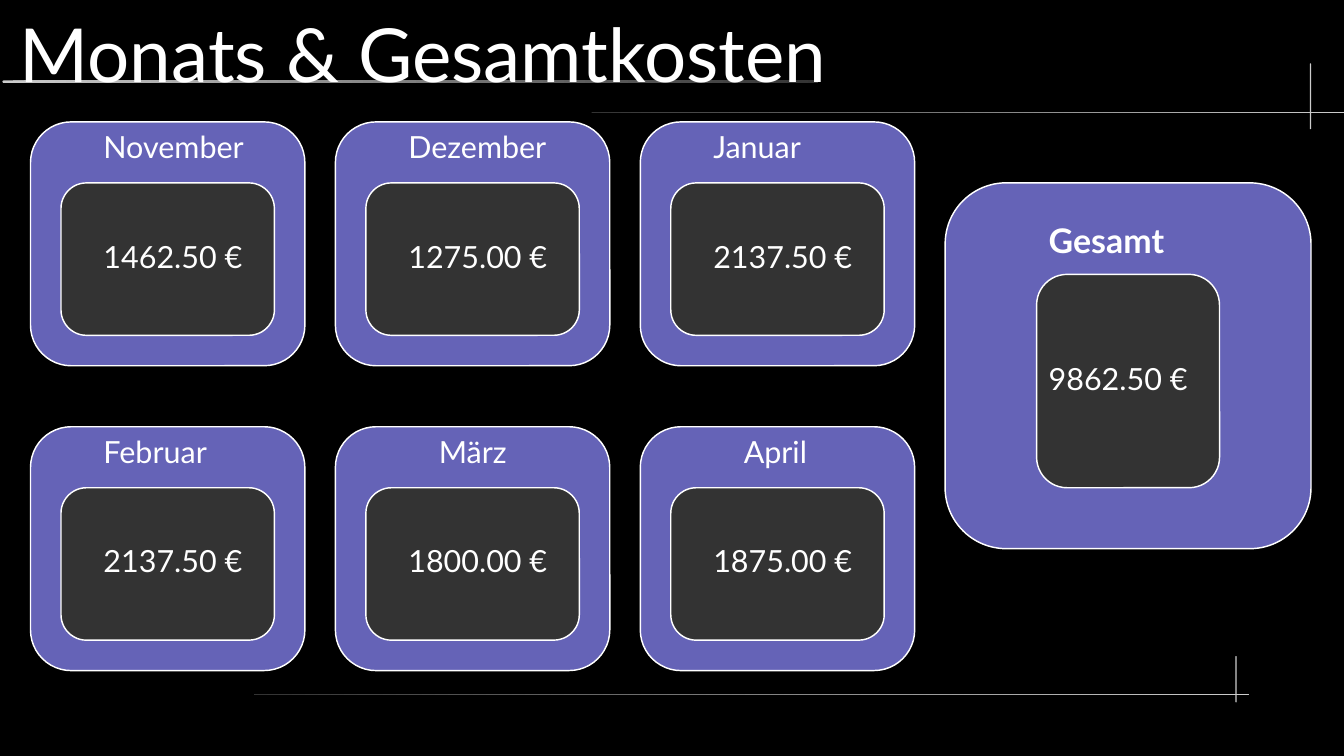
from pptx import Presentation
from pptx.dml.color import RGBColor
from pptx.enum.shapes import MSO_SHAPE as Shape
from pptx.enum.text import MSO_ANCHOR as Anchor, MSO_AUTO_SIZE as AutoSize, PP_ALIGN as Align
from pptx.util import Inches, Pt

HEADING = "Monats & Gesamtkosten"
MONTHS = [
    [("November", "1462.50 €"), ("Dezember", "1275.00 €"), ("Januar", "2137.50 €")],
    [("Februar", "2137.50 €"), ("März", "1800.00 €"), ("April", "1875.00 €")],
]
TOTAL = ("Gesamt", "9862.50 €")
INDENTED = ("März", "April")

FONT, WHITE, BLACK = "Lato", "FFFFFF", "000000"
VIOLET, GREY, LIGHT = "6563B7", "333333", "CCCCCC"
RULES = [
    (0.02, 0.66, 6.69, 0.02, LIGHT, GREY),
    (4.85, 0.92, 6.21, 0.01, GREY, LIGHT),
    (10.74, 0.52, 0.01, 0.54, LIGHT, LIGHT),
    (2.08, 5.69, 8.16, 0.01, GREY, LIGHT),
    (10.13, 5.38, 0.01, 0.38, LIGHT, LIGHT),
]
UNIT = 0.25
COLUMN_STEP, ROW_STEP = 10 * UNIT, 10 * UNIT
AMOUNT_DROP = 0.9


def color(value):
    return RGBColor.from_string(value)


def write(frame, text, size, bold=False):
    run = frame.paragraphs[0].add_run()
    run.text = text
    run.font.name, run.font.size, run.font.bold = FONT, Pt(size), bold
    run.font.color.rgb = color(WHITE)


def add_rule(left, top, width, height, start, end):
    rule = slide.shapes.add_shape(Shape.ROUNDED_RECTANGLE, *map(Inches, (left, top, width, height)))
    rule.adjustments[0] = 0.5
    rule.shadow.inherit = False
    rule.line.fill.background()
    if start == end:
        rule.fill.solid()
        rule.fill.fore_color.rgb = color(start)
    else:
        rule.fill.gradient()
        rule.fill.gradient_angle = 0
        for stop, shade in zip(rule.fill.gradient_stops, (start, end)):
            stop.color.rgb = color(shade)
    heading.element.addprevious(rule.element)


def add_card(left, top, width, height, fill):
    card = slide.shapes.add_shape(Shape.ROUNDED_RECTANGLE, *map(Inches, (left, top, width, height)))
    card.adjustments[0] = 0.167
    card.shadow.inherit = False
    card.fill.solid()
    card.fill.fore_color.rgb = color(fill)
    card.line.color.rgb = color(WHITE)
    card.line.width = Pt(0.85)


def add_label(left, top, width, height, text, size=18, bold=False):
    frame = slide.shapes.add_textbox(*map(Inches, (left, top, width, height))).text_frame
    frame.word_wrap = True
    write(frame, text, size, bold)


deck = Presentation()
deck.slide_width, deck.slide_height = Inches(11.02), Inches(6.2)
slide = deck.slides.add_slide(deck.slide_layouts[5])
slide.background.fill.solid()
slide.background.fill.fore_color.rgb = color(BLACK)

heading = slide.shapes.title
heading.left, heading.top, heading.width, heading.height = map(Inches, (0.16, 0.07, 10.43, 0.73))
title_frame = heading.text_frame
title_frame.margin_left = title_frame.margin_right = 0
title_frame.margin_top = title_frame.margin_bottom = 0
title_frame.auto_size = AutoSize.NONE
title_frame.vertical_anchor = Anchor.MIDDLE
title_frame.paragraphs[0].alignment = Align.LEFT
write(title_frame, HEADING, 44)

for rule in RULES:
    add_rule(*rule)

add_card(31 * UNIT, 6 * UNIT, 12 * UNIT, 12 * UNIT, VIOLET)
add_card(34 * UNIT, 9 * UNIT, 6 * UNIT, 7 * UNIT, GREY)
add_label(34 * UNIT, 7 * UNIT, 2.09, 0.43, TOTAL[0], 20, True)
add_label(34 * UNIT, 2.9, 7 * UNIT, 0.4, TOTAL[1])

for row, months in enumerate(MONTHS):
    for column, (month, amount) in enumerate(months):
        left, top = UNIT + column * COLUMN_STEP, 4 * UNIT + row * ROW_STEP
        label_left = left + 2 * UNIT
        month_left = label_left + (UNIT if month in INDENTED else 0)
        add_card(left, top, 9 * UNIT, 8 * UNIT, VIOLET)
        add_card(left + UNIT, top + 2 * UNIT, 7 * UNIT, 5 * UNIT, GREY)
        add_label(month_left, top, 7 * UNIT, 0.6, month)
        add_label(label_left, top + AMOUNT_DROP, 7 * UNIT, 0.6, amount)

deck.save("out.pptx")
